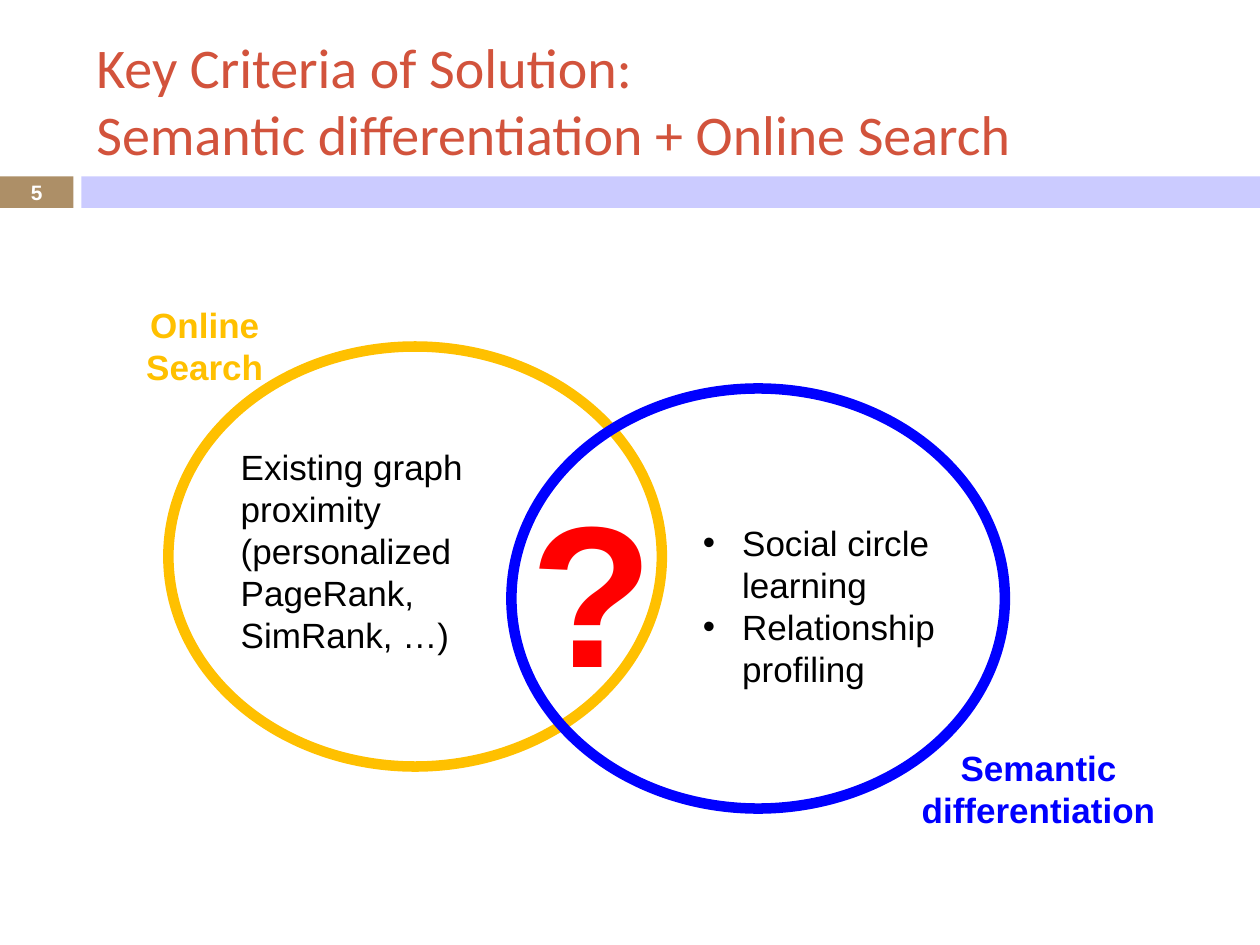
from dataclasses import dataclass

from lxml.etree import SubElement
from pptx import Presentation
from pptx.dml.color import RGBColor
from pptx.enum.shapes import MSO_SHAPE
from pptx.enum.text import MSO_ANCHOR, PP_ALIGN
from pptx.oxml.ns import qn
from pptx.util import Pt


@dataclass(frozen=True)
class Theme:
    heading_font: str = "Calibri"
    body_font: str = "Arial"
    heading: str = "D2533C"
    number_tab: str = "AD8F67"
    band: str = "CBCBFF"
    search: str = "FFC000"
    semantic: str = "0000FF"
    question: str = "FF0000"
    ink: str = "000000"
    paper: str = "FFFFFF"
    heading_size: float = 32
    body_size: float = 20
    number_size: float = 11.9
    question_size: float = 115
    ring_width: float = 6
    bullet_indent: float = 22.5


class SlideBuilder:
    def __init__(self, slide, theme):
        self.slide = slide
        self.theme = theme

    def _shape(self, preset, box):
        shape = self.slide.shapes.add_shape(preset, *map(Pt, box))
        shape.shadow.inherit = False
        return shape

    def bar(self, box, color):
        bar = self._shape(MSO_SHAPE.RECTANGLE, box)
        bar.fill.solid()
        bar.fill.fore_color.rgb = RGBColor.from_string(color)
        bar.line.fill.background()

    def ring(self, box, color):
        ring = self._shape(MSO_SHAPE.OVAL, box)
        ring.fill.background()
        ring.line.color.rgb = RGBColor.from_string(color)
        ring.line.width = Pt(self.theme.ring_width)

    def text(self, box, paragraphs, color, size=None, font=None, bold=False,
             align=PP_ALIGN.LEFT, anchor=MSO_ANCHOR.TOP, bulleted=False):
        frame = self.slide.shapes.add_textbox(*map(Pt, box)).text_frame
        frame.word_wrap = True
        frame.vertical_anchor = anchor
        for index, lines in enumerate(paragraphs):
            paragraph = frame.add_paragraph() if index else frame.paragraphs[0]
            paragraph.alignment = align
            if bulleted:
                self._bullet(paragraph)
            for number, line in enumerate(lines):
                if number:
                    paragraph.add_line_break()
                run = paragraph.add_run()
                run.text = line
                run.font.name = font or self.theme.body_font
                run.font.size = Pt(size or self.theme.body_size)
                run.font.bold = bold
                run.font.color.rgb = RGBColor.from_string(color)

    def _bullet(self, paragraph):
        properties = paragraph._p.get_or_add_pPr()
        indent = Pt(self.theme.bullet_indent)
        properties.set("marL", str(indent))
        properties.set("indent", str(-indent))
        SubElement(properties, qn("a:buFont"), typeface="Arial")
        SubElement(properties, qn("a:buChar"), char="•")


def main():
    theme = Theme()
    presentation = Presentation()
    presentation.slide_width, presentation.slide_height = Pt(720), Pt(540)
    slide = presentation.slides.add_slide(presentation.slide_layouts[6])
    builder = SlideBuilder(slide, theme)

    builder.bar((0, 100.8, 42, 18), theme.number_tab)
    builder.bar((46.5, 100.8, 673.5, 18), theme.band)
    builder.text((48, 18, 642, 78),
                 [["Key Criteria of Solution: ", "Semantic differentiation + Online Search"]],
                 theme.heading, theme.heading_size, theme.heading_font,
                 anchor=MSO_ANCHOR.MIDDLE)
    builder.text((0, 100, 42, 19.5), [["5"]], theme.paper, theme.number_size,
                 bold=True, align=PP_ALIGN.CENTER, anchor=MSO_ANCHOR.MIDDLE)

    ring_size = (282, 240)
    builder.ring((96.25, 198, *ring_size), theme.search)
    builder.text((60, 170, 114, 55.5), [["Online Search"]], theme.search,
                 bold=True, align=PP_ALIGN.CENTER)
    builder.text((130.5, 251, 174, 128),
                 [["Existing graph proximity (personalized PageRank, SimRank, …)"]],
                 theme.ink)

    builder.ring((292.25, 222, *ring_size), theme.semantic)
    builder.text((514.5, 423, 158, 55.5), [["Semantic differentiation"]], theme.semantic,
                 bold=True, align=PP_ALIGN.CENTER)
    builder.text((394.5, 294.5, 168, 104.5),
                 [["Social circle learning"], ["Relationship profiling"]],
                 theme.ink, bulleted=True)

    builder.text((296, 263, 53.5, 147), [["?"]], theme.question,
                 theme.question_size, bold=True)

    presentation.save("out.pptx")


if __name__ == "__main__":
    main()
